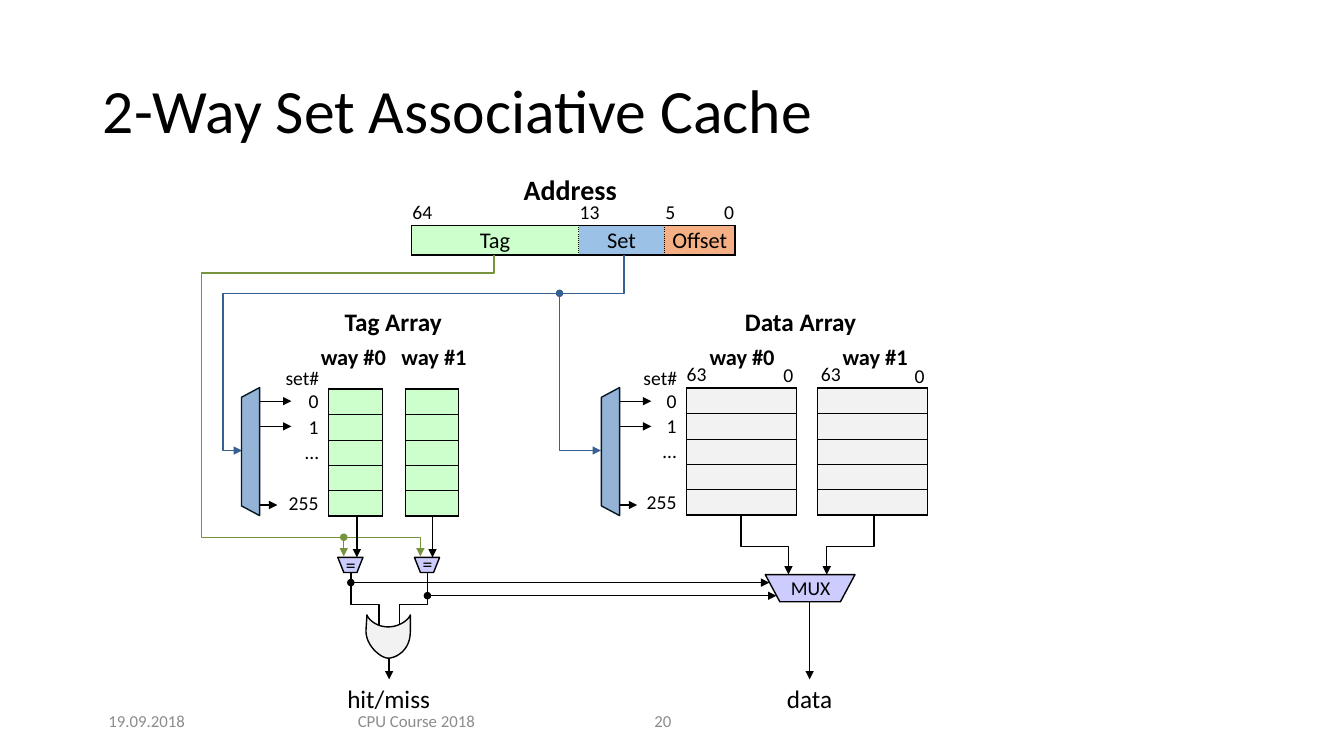
"""Build the slide on a two-way set associative cache."""
from dataclasses import dataclass
from typing import Optional

from lxml.etree import SubElement
from pptx import Presentation
from pptx.dml.color import RGBColor
from pptx.enum.shapes import MSO_CONNECTOR as LINK, MSO_SHAPE as SHAPE
from pptx.enum.text import MSO_ANCHOR as ANCHOR, PP_ALIGN as ALIGN
from pptx.oxml.ns import qn
from pptx.util import Inches, Pt

BLACK, GRAY, GREEN, BLUE = "000000", "8C8C8C", "77933C", "376092"
MINT, PALE, LILAC, STEEL = "CCFFCC", "F2F2F2", "CCCCFF", "95B3D7"
PLAIN = "{2D5ABB26-0587-4C30-8999-92F81FD0307C}"
ROW = 0.252


@dataclass
class Label:
    text: str
    x: float
    y: float
    w: float
    h: float
    size: int
    bold: bool = False
    color: str = BLACK
    align: ALIGN = ALIGN.CENTER


@dataclass
class Bank:
    x: float
    y: float
    width: float
    fill: str
    index: float = 0


@dataclass
class Wire:
    points: list
    color: str = BLACK
    width: float = 1
    arrow: bool = True


@dataclass
class Block:
    kind: SHAPE
    x: float
    y: float
    w: float
    h: float
    fill: str
    edge: str = BLACK
    turn: int = 0
    slant: Optional[float] = None


LABELS = [
    Label("Tag Array", 3.25, 2.99, 1.3, 0.4, 18, True),
    Label("Data Array", 7.15, 2.99, 1.58, 0.4, 18, True),
    Label("way #0", 3, 3.35, 1.01, 0.37, 16, True),
    Label("way #1", 3.8, 3.35, 1.01, 0.37, 16, True),
    Label("way #0", 6.74, 3.35, 1.24, 0.37, 16, True),
    Label("way #1", 8.06, 3.35, 1.24, 0.37, 16, True),
    Label("set#", 2.73, 3.58, 0.54, 0.34, 14),
    Label("set#", 6.28, 3.58, 0.54, 0.34, 14),
    Label("63", 6.71, 3.54, 0.4, 0.34, 14),
    Label("0", 7.67, 3.55, 0.3, 0.34, 14),
    Label("63", 8.04, 3.54, 0.4, 0.34, 14),
    Label("0", 8.97, 3.56, 0.3, 0.34, 14),
    Label("=", 3.33, 5.43, 0.3, 0.34, 14),
    Label("=", 4.09, 5.42, 0.3, 0.34, 14),
    Label("MUX", 7.74, 5.66, 0.6, 0.34, 14),
    Label("hit/miss", 3.34, 6.73, 1.03, 0.4, 18),
    Label("data", 7.7, 6.73, 0.66, 0.4, 18),
    Label("19.09.2018", 0.92, 6.95, 1.07, 0.4, 12, color=GRAY),
    Label("CPU Course 2018", 3.34, 6.95, 1.58, 0.4, 12, color=GRAY),
    Label("20", 6.49, 6.95, 0.69, 0.4, 12, color=GRAY, align=ALIGN.LEFT),
]
BANKS = [Bank(2.8, 3.86, 0.53, MINT, 0.46), Bank(4.02, 3.86, 0.53, MINT),
         Bank(6.4, 3.85, 1.09, PALE, 0.41), Bank(8.11, 3.85, 1.09, PALE)]
BLOCKS = [
    *[Block(SHAPE.TRAPEZOID, x, 4.39, 1.27, 0.18, STEEL, "061922", 270, 0.535) for x in (1.85, 5.42)],
    *[Block(SHAPE.TRAPEZOID, x, 5.53, 0.25, 0.15, LILAC, BLACK, 180, 0.4) for x in (3.35, 4.11)],
    Block(SHAPE.TRAPEZOID, 7.59, 5.7, 0.89, 0.27, LILAC, BLACK, 180, 0.535),
    *[Block(SHAPE.OVAL, x, y, 0.06, 0.06, hue, hue) for x, y, hue in (
        (3.38, 5.3, GREEN), (5.52, 2.88, BLUE), (3.45, 5.75, BLACK), (4.21, 5.88, BLACK))],
]
WIRES = [
    Wire([(4.9, 2.53), (4.9, 2.71), (2, 2.71), (2, 5.33), (3.41, 5.33), (3.41, 5.52)], GREEN),
    Wire([(3.4, 5.33), (4.17, 5.33), (4.17, 5.52)], GREEN),
    Wire([(6.19, 2.53), (6.19, 2.91), (2.21, 2.91), (2.21, 4.47), (2.4, 4.47)], BLUE),
    Wire([(5.55, 2.91), (5.55, 4.47), (5.96, 4.47)], BLUE),
    *[Wire([(x, y), (x + run, y)], BLACK, 0.75)
      for x in (2.58, 6.15) for y, run in ((3.98, 0.31), (4.23, 0.31), (5.01, 0.17))],
    *[Wire([(x, 5.12), (x, 5.53)]) for x in (3.54, 4.29)],
    *[Wire([(a, 5.11), (a, 5.42), (b, 5.42), (b, 5.7)]) for a, b in ((7.35, 7.82), (8.67, 8.2))],
    *[Wire([(a, 5.68), (a, 6), (b, 6), (b, 6.2)], arrow=False) for a, b in ((3.48, 3.76), (4.24, 3.96))],
    Wire([(3.51, 5.78), (7.63, 5.78)], BLACK, 0.75),
    Wire([(4.26, 5.91), (7.7, 5.91)], BLACK, 0.75),
    Wire([(3.86, 6.49), (3.86, 6.74)]),
    Wire([(8.03, 5.97), (8.03, 6.74)]),
]
GATE = [[(4.07, 6.1), (4.06, 6.14), (3.97, 6.22), (3.85, 6.22)],
        [(3.85, 6.22), (3.73, 6.22), (3.65, 6.14), (3.64, 6.1)],
        [(3.63, 6.26), (3.63, 6.41), (3.78, 6.53), (3.85, 6.53)],
        [(3.85, 6.53), (3.93, 6.53), (4.07, 6.45), (4.07, 6.27)]]


def rgb(hue: str) -> RGBColor:
    return RGBColor.from_string(hue)


def write(frame, text: str, size: int, align: ALIGN, bold: bool = False, hue: str = BLACK) -> None:
    frame.text = text
    para = frame.paragraphs[0]
    para.alignment = align
    for run in para.runs:
        font = run.font
        font.name, font.size, font.bold = "Calibri", Pt(size), bold
        font.color.rgb = rgb(hue)
    if not text:
        SubElement(para._p, qn("a:endParaRPr"), sz="1000")


def paint(shape, fill: Optional[str], edge: str, width: float = 1) -> None:
    shape.shadow.inherit = False
    if fill:
        shape.fill.solid()
        shape.fill.fore_color.rgb = rgb(fill)
    else:
        shape.fill.background()
    shape.line.color.rgb, shape.line.width = rgb(edge), Pt(width)


def add_label(slide, item: Label) -> None:
    box = slide.shapes.add_textbox(Inches(item.x), Inches(item.y), Inches(item.w), Inches(item.h))
    frame = box.text_frame
    frame.word_wrap, frame.vertical_anchor = True, ANCHOR.MIDDLE
    frame.margin_left = frame.margin_right = frame.margin_top = frame.margin_bottom = 0
    write(frame, item.text, item.size, item.align, item.bold, item.color)


def add_grid(slide, x: float, y: float, cols: list, rows: list):
    frame = slide.shapes.add_table(len(rows), len(cols), Inches(x), Inches(y),
                                   Inches(sum(cols)), Inches(sum(rows)))
    table = frame.table
    table.first_row = table.horz_banding = False
    table._tbl.tblPr.find(qn("a:tableStyleId")).text = PLAIN
    for col, width in zip(table.columns, cols):
        col.width = Inches(width)
    for row, height in zip(table.rows, rows):
        row.height = Inches(height)
    return table


def set_cell(cell, text: str, size: int, align: ALIGN, fill: Optional[str] = None,
             edges: Optional[dict] = None, right: float = 0.01) -> None:
    cell.margin_left = cell.margin_top = Inches(0.01)
    cell.margin_right, cell.margin_bottom = Inches(right), 0
    cell.vertical_anchor = ANCHOR.MIDDLE
    write(cell.text_frame, text, size, align)
    for side, width in (edges or {}).items():
        line = SubElement(cell._tc.get_or_add_tcPr(), qn(f"a:ln{side}"), w=str(Pt(abs(width))))
        SubElement(SubElement(line, qn("a:solidFill")), qn("a:srgbClr"), val=BLACK)
        SubElement(line, qn("a:prstDash"), val="sysDot" if width < 0 else "solid")
    if fill:
        cell.fill.solid()
        cell.fill.fore_color.rgb = rgb(fill)
    else:
        cell.fill.background()


def add_address(slide) -> None:
    table = add_grid(slide, 4.08, 1.98, [1.66, 0.34, 0.51, 0.35, 0.35], [0.26, 0.29])
    for col, bit in enumerate(["64", "13", "", "5", "0"]):
        align = ALIGN.RIGHT if bit == "0" else ALIGN.LEFT
        set_cell(table.cell(0, col), bit, 14, align, "FFFFFF", {"B": 1})
    for first, last, name, fill, left, right in (
            (0, 0, "Tag", MINT, 1, -0.5), (1, 2, "Set", "9BC2E6", -0.5, -0.5),
            (3, 4, "Offset", "F4B084", -0.5, 1)):
        for col in range(first, last + 1):
            set_cell(table.cell(1, col), name if col == first else "", 16, ALIGN.CENTER,
                     fill, {"L": left, "R": right, "T": 1, "B": 1})
        if last > first:
            table.cell(1, first).merge(table.cell(1, last))


def add_bank(slide, bank: Bank) -> None:
    cols = [bank.index, bank.width] if bank.index else [bank.width]
    table = add_grid(slide, bank.x, bank.y, cols, [ROW] * 5)
    for row, name in enumerate(["0", "1", "…", "", "255"]):
        if bank.index:
            set_cell(table.cell(row, 0), name, 14, ALIGN.RIGHT, right=0.1)
        edges = {"L": 1, "R": 1, "T": 0.5 if row else 1, "B": 1 if row == 4 else 0.5}
        set_cell(table.cell(row, len(cols) - 1), "", 14, ALIGN.LEFT, bank.fill, edges)


def add_block(slide, item: Block) -> None:
    shape = slide.shapes.add_shape(item.kind, Inches(item.x), Inches(item.y), Inches(item.w), Inches(item.h))
    shape.rotation = item.turn
    if item.slant:
        shape.adjustments[0] = item.slant
    paint(shape, item.fill, item.edge)


def outline(slide, points: list, close: bool):
    spots = [(Inches(x), Inches(y)) for x, y in points]
    pen = slide.shapes.build_freeform(*spots[0])
    pen.add_line_segments(spots[1:], close=close)
    return pen.convert_to_shape()


def add_wire(slide, wire: Wire) -> None:
    if len(wire.points) == 2:
        ends = [Inches(n) for point in wire.points for n in point]
        shape = slide.shapes.add_connector(LINK.STRAIGHT, *ends)
        shape.line.color.rgb, shape.line.width = rgb(wire.color), Pt(wire.width)
        SubElement(shape._element.spPr, qn("a:effectLst"))
    else:
        shape = outline(slide, wire.points, False)
        paint(shape, None, wire.color, wire.width)
    if wire.arrow:
        SubElement(shape._element.spPr.find(qn("a:ln")), qn("a:tailEnd"), type="triangle")


def bend(curve: list, steps: int = 12) -> list:
    times = [n / steps for n in range(steps + 1)]
    return [tuple((1 - t) ** 3 * a + 3 * t * (1 - t) ** 2 * b + 3 * t * t * (1 - t) * c + t ** 3 * d
                  for a, b, c, d in zip(*curve)) for t in times]


def main() -> None:
    deck = Presentation()
    deck.slide_width, deck.slide_height = Inches(13.33), Inches(7.5)
    slide = deck.slides.add_slide(deck.slide_layouts[5])
    title = slide.shapes.title
    title.left, title.top, title.width, title.height = (Inches(n) for n in (0.92, 0.4, 11.5, 1.45))
    title.text_frame.vertical_anchor = ANCHOR.MIDDLE
    write(title.text_frame, "2-Way Set Associative Cache", 44, ALIGN.LEFT)
    title.text_frame.paragraphs[0].line_spacing = 0.9
    add_label(slide, Label("Address", 4.66, 1.66, 1.99, 0.44, 20, True))
    add_address(slide)
    for draw, items in ((add_bank, BANKS), (add_wire, WIRES), (add_block, BLOCKS), (add_label, LABELS)):
        for item in items:
            draw(slide, item)
    gate = outline(slide, [spot for curve in GATE for spot in bend(curve)], True)
    paint(gate, PALE, BLACK)
    deck.save("out.pptx")


if __name__ == "__main__":
    main()
